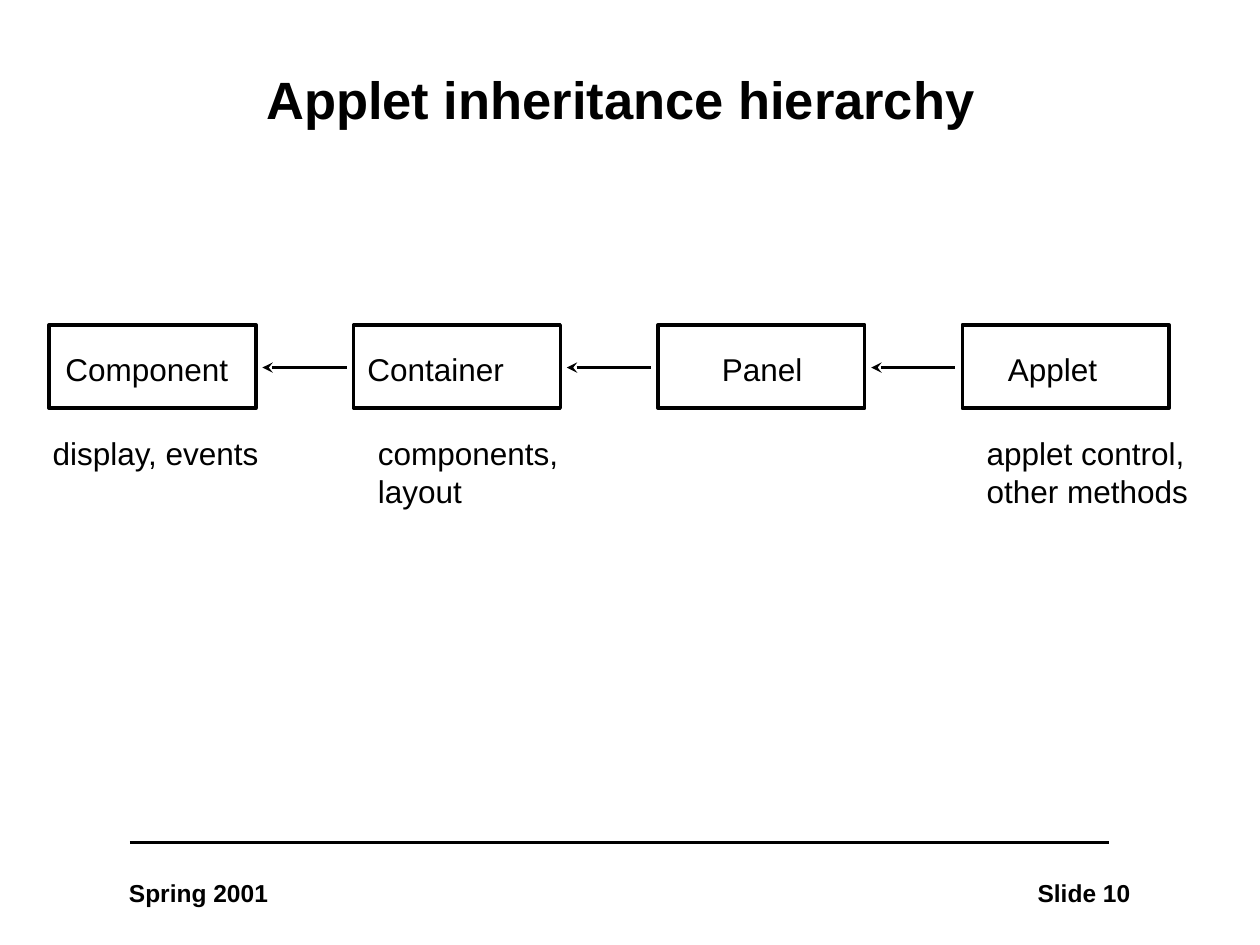
import pptx
import pptx.util
import pptx.dml.color
import pptx.enum.shapes
import pptx.enum.text
import pptx.oxml.ns
import lxml.etree

Cm = pptx.util.Cm
Align = pptx.enum.text.PP_ALIGN
COLORS = {"ink": "000000", "page": "FFFFFF"}
NODES = [
    ("Component", 0.08, 4.0, "display, events", -0.18, 4.8),
    ("Container", 0.03, 3.4, "components,\nlayout", 0.24, 4.3),
    ("Panel", 1.04, 2.3, None, 0, 0),
    ("Applet", 0.67, 2.5, "applet control,\nother methods", 0.24, 4.7),
]


def paint(name):
    """Return the named colour."""
    return pptx.dml.color.RGBColor.from_string(COLORS[name])


def write(frame, text, size=18, bold=False, align=Align.LEFT, space=1.0):
    """Fill a text frame with formatted lines."""
    frame.text = text
    for para in frame.paragraphs:
        para.alignment = align
        para.line_spacing = space
        for run in para.runs:
            font = run.font
            font.name, font.size, font.bold = "Arial", pptx.util.Pt(size), bold
            font.color.rgb = paint("ink")


def label(slide, text, x, y, w, h=1.02, **style):
    """Add a text box that keeps its own line breaks."""
    frame = slide.shapes.add_textbox(Cm(x), Cm(y), Cm(w), Cm(h)).text_frame
    frame.word_wrap = False
    frame.auto_size = pptx.enum.text.MSO_AUTO_SIZE.SHAPE_TO_FIT_TEXT
    write(frame, text, **style)


def rule(slide, x, y, w, head=False):
    """Draw a level line, with an arrowhead on its left end if asked."""
    kind = pptx.enum.shapes.MSO_CONNECTOR.STRAIGHT
    line = slide.shapes.add_connector(kind, Cm(x), Cm(y), Cm(x + w), Cm(y))
    line.line.color.rgb = paint("ink")
    line.line.width = pptx.util.Pt(2)
    qn = pptx.oxml.ns.qn
    props = line._element.spPr
    if head:
        lxml.etree.SubElement(props.find(qn("a:ln")), qn("a:headEnd"), type="stealth")
    lxml.etree.SubElement(props, qn("a:effectLst"))


def title(slide, x, y, w, h):
    """Place the slide title."""
    shape = slide.shapes.title
    shape.left, shape.top, shape.width, shape.height = Cm(x), Cm(y), Cm(w), Cm(h)
    frame = shape.text_frame
    frame.word_wrap = True
    frame.auto_size = pptx.enum.text.MSO_AUTO_SIZE.NONE
    frame.vertical_anchor = pptx.enum.text.MSO_ANCHOR.MIDDLE
    write(frame, "Applet inheritance hierarchy", size=30, bold=True,
          align=Align.CENTER, space=0.9)


def node(slide, x, y, w, h, name, dx, span, note, shift, width):
    """Draw one class box with its name and the note below it."""
    kind = pptx.enum.shapes.MSO_SHAPE.RECTANGLE
    box = slide.shapes.add_shape(kind, Cm(x), Cm(y), Cm(w), Cm(h))
    box.shadow.inherit = False
    box.fill.background()
    box.line.color.rgb = paint("ink")
    box.line.width = pptx.util.Pt(2)
    label(slide, name, x + dx, y + 0.39, span)
    if note:
        label(slide, note, x + shift, y + 2.07, width, 1.02 + 0.76 * note.count("\n"))


def chain(slide, x, y, w, h):
    """Draw the class boxes in a row, each pointing to its parent."""
    wide = 4.17
    step = (w - wide) / (len(NODES) - 1)
    gap = step - wide
    for i, item in enumerate(NODES):
        left = x + i * step
        node(slide, left, y, wide, h, *item)
        if i:
            rule(slide, left - gap + 0.13, y + h / 2 + 0.02, gap - 0.27, head=True)


def footer(slide, x, y, w):
    """Draw the bottom rule, the term and the slide number."""
    rule(slide, x + 0.28, y, w - 0.98)
    label(slide, "Spring 2001", x + 0.01, y + 0.59, 3.5, 0.84, size=14, bold=True)
    label(slide, "Slide 10", x + w - 4.26, y + 0.59, 4.24, 0.84,
          size=14, bold=True, align=Align.RIGHT)


def main():
    """Build and save the slide."""
    deck = pptx.Presentation()
    deck.slide_width, deck.slide_height = Cm(25.4), Cm(19.05)
    slide = deck.slides.add_slide(deck.slide_layouts[5])
    slide.background.fill.solid()
    slide.background.fill.fore_color.rgb = paint("page")
    title(slide, 2.75, 0.84, 19.53, 2.44)
    chain(slide, 0.99, 6.55, 22.58, 1.68)
    footer(slide, 2.34, 16.98, 20.72)
    deck.save("out.pptx")


if __name__ == "__main__":
    main()
